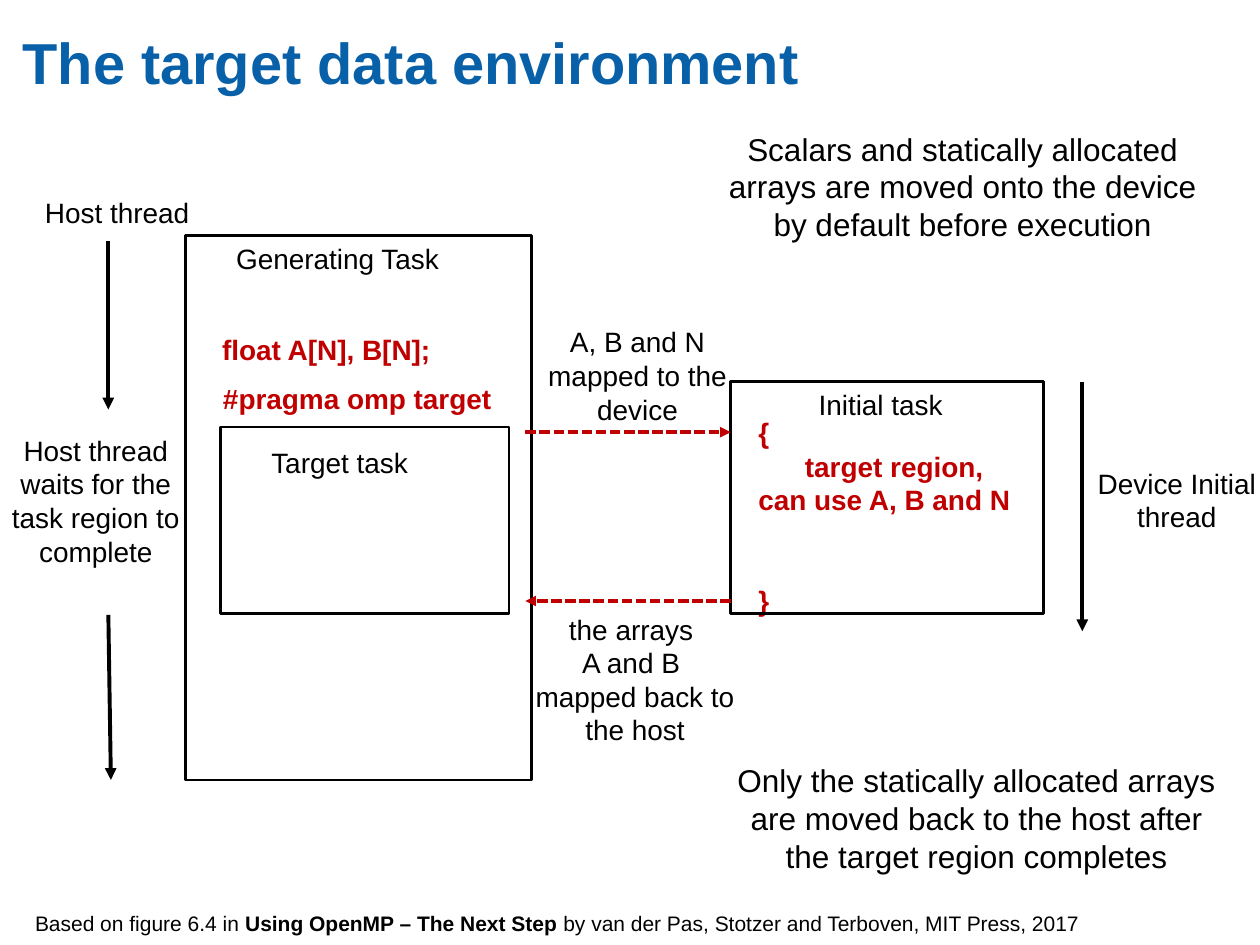
from lxml import etree
from pptx import Presentation
from pptx.dml.color import RGBColor
from pptx.enum import dml, shapes, text
from pptx.oxml import ns
from pptx.util import Inches, Pt

theme = {
    "font": "Arial",
    "title": RGBColor(0x08, 0x60, 0xA8),
    "ink": RGBColor(0, 0, 0),
    "code": RGBColor(0xC0, 0, 0),
    "title_size": Pt(33),
    "label_size": Pt(16),
    "note_size": Pt(18),
    "credit_size": Pt(12),
}
label = {"size": theme["label_size"], "bold": False, "color": theme["ink"]}
code = {"size": theme["label_size"], "bold": True, "color": theme["code"]}
note = {"size": theme["note_size"], "bold": False, "color": theme["ink"]}
credit = {"size": theme["credit_size"], "bold": False, "color": theme["ink"]}
heading = {"size": theme["title_size"], "bold": True, "color": theme["title"]}
center, left = text.PP_ALIGN.CENTER, text.PP_ALIGN.LEFT


def fill_text(tf, paragraphs, style, align):
    for i, runs in enumerate(paragraphs):
        p = tf.paragraphs[0] if i == 0 else tf.add_paragraph()
        p.alignment = align
        for words, bold in runs:
            r = p.add_run()
            r.text = words
            r.font.name = theme["font"]
            r.font.color.rgb = style["color"]
            for key, value in {"size": style["size"], "bold": bold or style["bold"]}.items():
                setattr(r.font, key, value)


def add_text(box, paragraphs, style, align=center):
    tf = s.shapes.add_textbox(*map(Inches, box)).text_frame
    tf.word_wrap = True
    tf.auto_size = text.MSO_AUTO_SIZE.SHAPE_TO_FIT_TEXT
    fill_text(tf, paragraphs, style, align)
    return tf


prs = Presentation()
prs.slide_width, prs.slide_height = Inches(10), Inches(7.5)
s = prs.slides.add_slide(prs.slide_layouts[5])

title = s.shapes.title
frame = {"left": 0.18, "top": 0.21, "width": 9.01, "height": 0.97}
for key, value in frame.items():
    setattr(title, key, Inches(value))
tf = title.text_frame
for side in ("left", "top", "right", "bottom"):
    setattr(tf, f"margin_{side}", 0)
tf.auto_size = text.MSO_AUTO_SIZE.NONE
tf.vertical_anchor = text.MSO_ANCHOR.TOP
fill_text(tf, [[("The target data environment", True)]], heading, left)

labels = [
    ((0.11, 1.5, 1.64, 0.37), ["Host thread"], label),
    ((1.75, 1.87, 1.86, 0.37), ["Generating Task"], label),
    ((6.06, 3.03, 1.86, 0.37), ["Initial task"], label),
    ((1.84, 3.49, 1.71, 0.37), ["Target task"], label),
    ((1.44, 2.98, 2.79, 0.37), ["#pragma omp target"], code),
    ((1.53, 2.59, 2.12, 0.37), ["float A[N], B[N];"], code),
    ((8.52, 3.65, 1.64, 0.64), ["Device Initial thread"], label),
    ((-0.06, 3.39, 1.64, 1.18),
     ["Host thread", "waits for the task region to complete"], label),
    ((4.13, 2.53, 1.86, 0.91), ["A, B and N mapped to the device"], label),
    ((4.11, 4.81, 1.86, 1.18),
     ["the arrays ", "A and B ", "mapped back to the host"], label),
    ((5.59, 0.98, 4.1, 1.01),
     ["Scalars and statically allocated arrays are moved onto the device "
      "by default before execution"], note),
    ((5.7, 5.99, 4.1, 1.01),
     ["Only the statically allocated arrays are moved back to the host "
      "after the target region completes"], note),
]
for box, lines, style in labels:
    add_text(box, [[(line, False)] for line in lines], style)

region = ["{", "target region, can use A, B and N", "}"]
tf = add_text((5.92, 3.25, 2.35, 1.72), [[(line, True)] for line in region], code, left)
tf.paragraphs[1]._p.get_or_add_pPr().set("indent", str(Inches(0.37)))
tf.paragraphs[2].space_before = Pt(38.5)

add_text((0.18, 7.18, 9.64, 0.3), [[
    ("Based on figure 6.4 in ", False),
    ("Using OpenMP – The Next Step ", True),
    ("by van der Pas, Stotzer and Terboven, MIT Press, 2017", False),
]], credit, left)

initial_task = (5.8, 3.03, 2.48, 1.84)
generating_task = (1.47, 1.87, 2.75, 4.32)
target_task = (1.75, 3.39, 2.29, 1.48)
for box in (initial_task, generating_task, target_task):
    sp = s.shapes.add_shape(shapes.MSO_SHAPE.RECTANGLE, *map(Inches, box))
    sp.shadow.inherit = False
    sp.fill.background()
    sp.line.color.rgb = theme["ink"]
    sp.line.width = Pt(1.5)

thread = {"color": theme["ink"], "width": Pt(2.25), "dash": None}
mapping = {"color": theme["code"], "width": Pt(2), "dash": dml.MSO_LINE.SQUARE_DOT}
arrows = [
    ((0.86, 1.91, 0.86, 3.25), thread),
    ((0.86, 4.88, 0.88, 6.19), thread),
    ((8.59, 3.03, 8.59, 5.01), thread),
    ((4.17, 3.43, 5.8, 3.43), mapping),
    ((5.8, 4.77, 4.17, 4.77), mapping),
]
for ends, style in arrows:
    arrow = s.shapes.add_connector(shapes.MSO_CONNECTOR.STRAIGHT, *map(Inches, ends))
    arrow.line.color.rgb = style["color"]
    for key, value in {"width": style["width"], "dash_style": style["dash"]}.items():
        setattr(arrow.line, key, value)
    ln = arrow.line._get_or_add_ln()
    etree.SubElement(ln, ns.qn("a:tailEnd")).set("type", "triangle")
    etree.SubElement(arrow._element.spPr, ns.qn("a:effectLst"))

prs.save("out.pptx")
